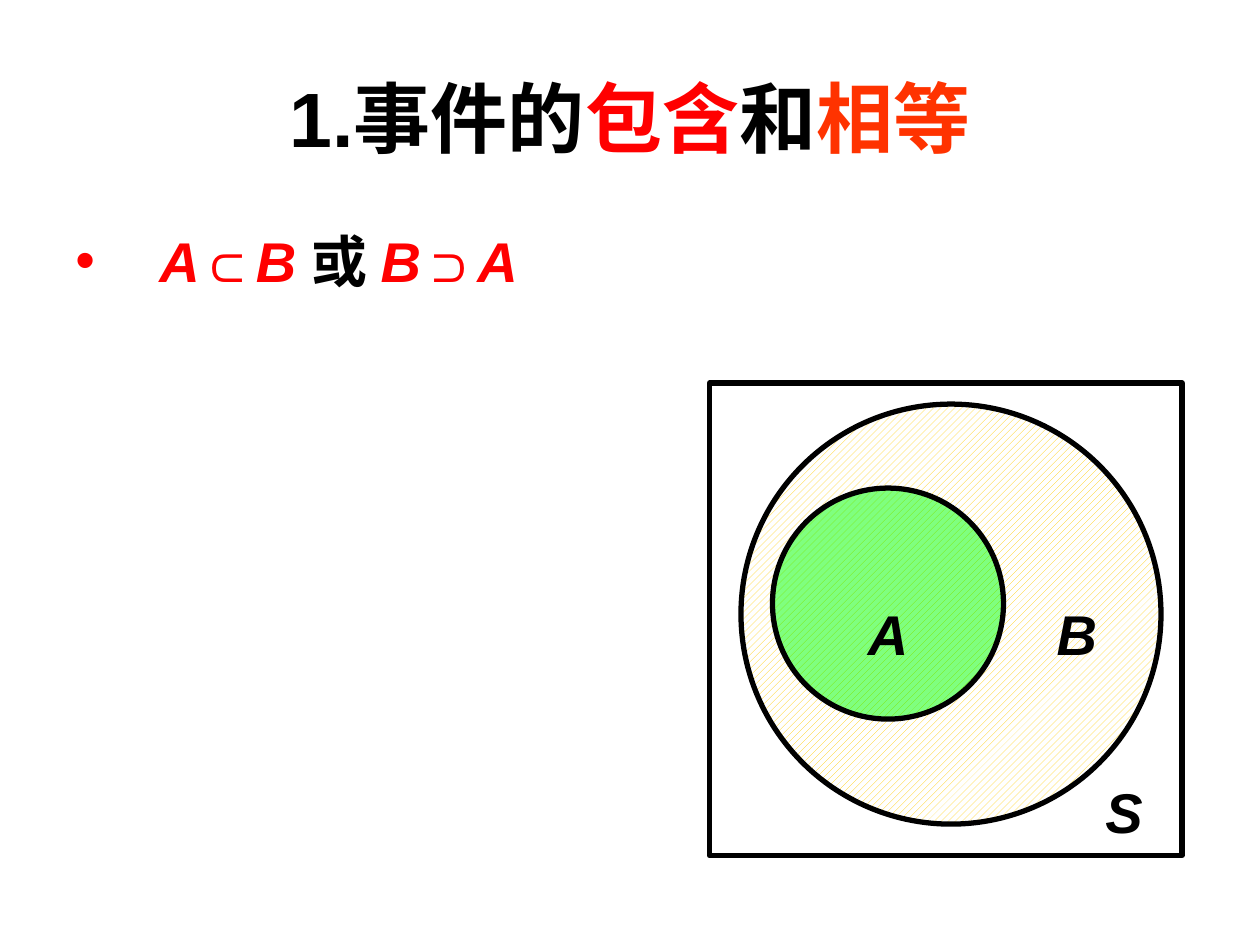
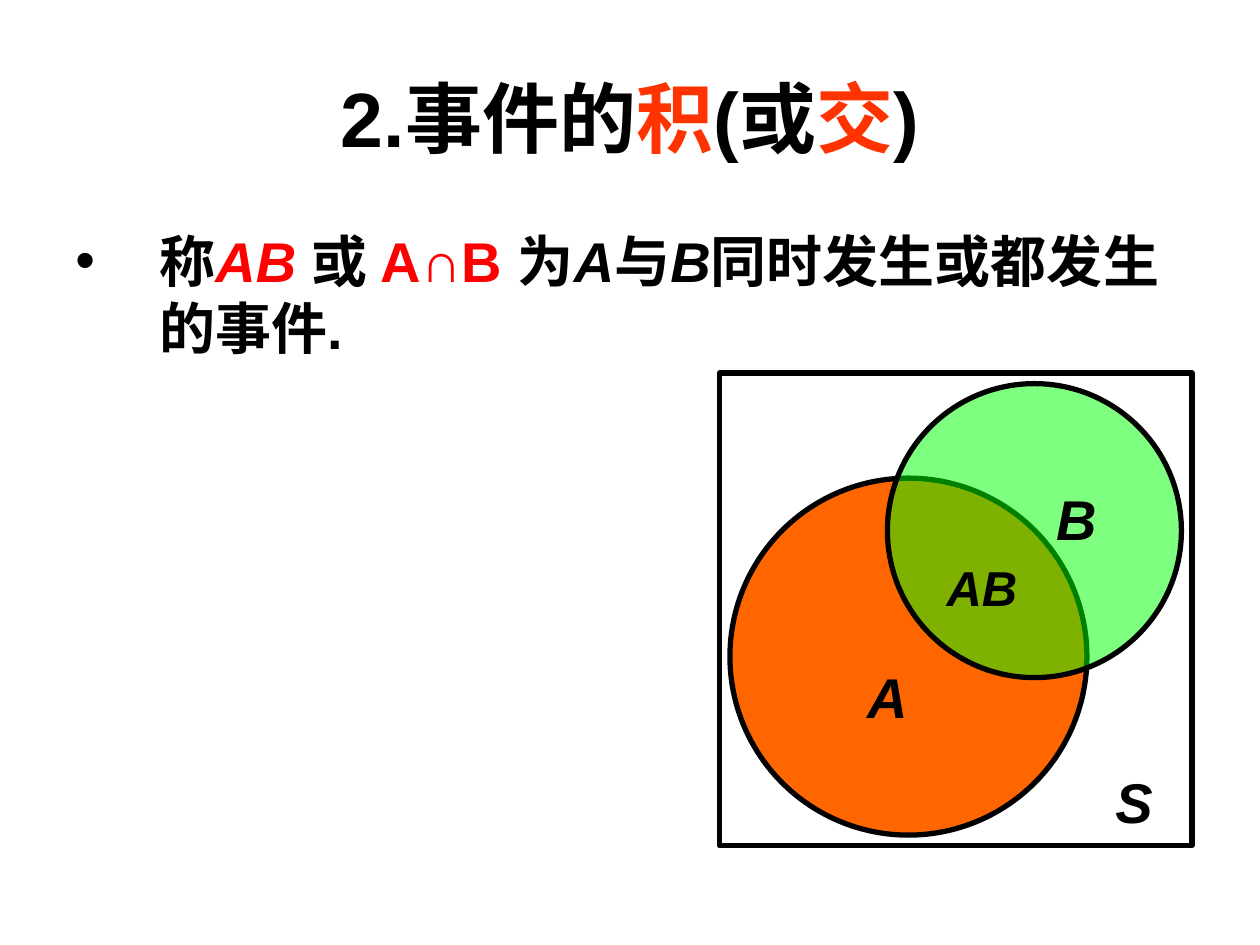
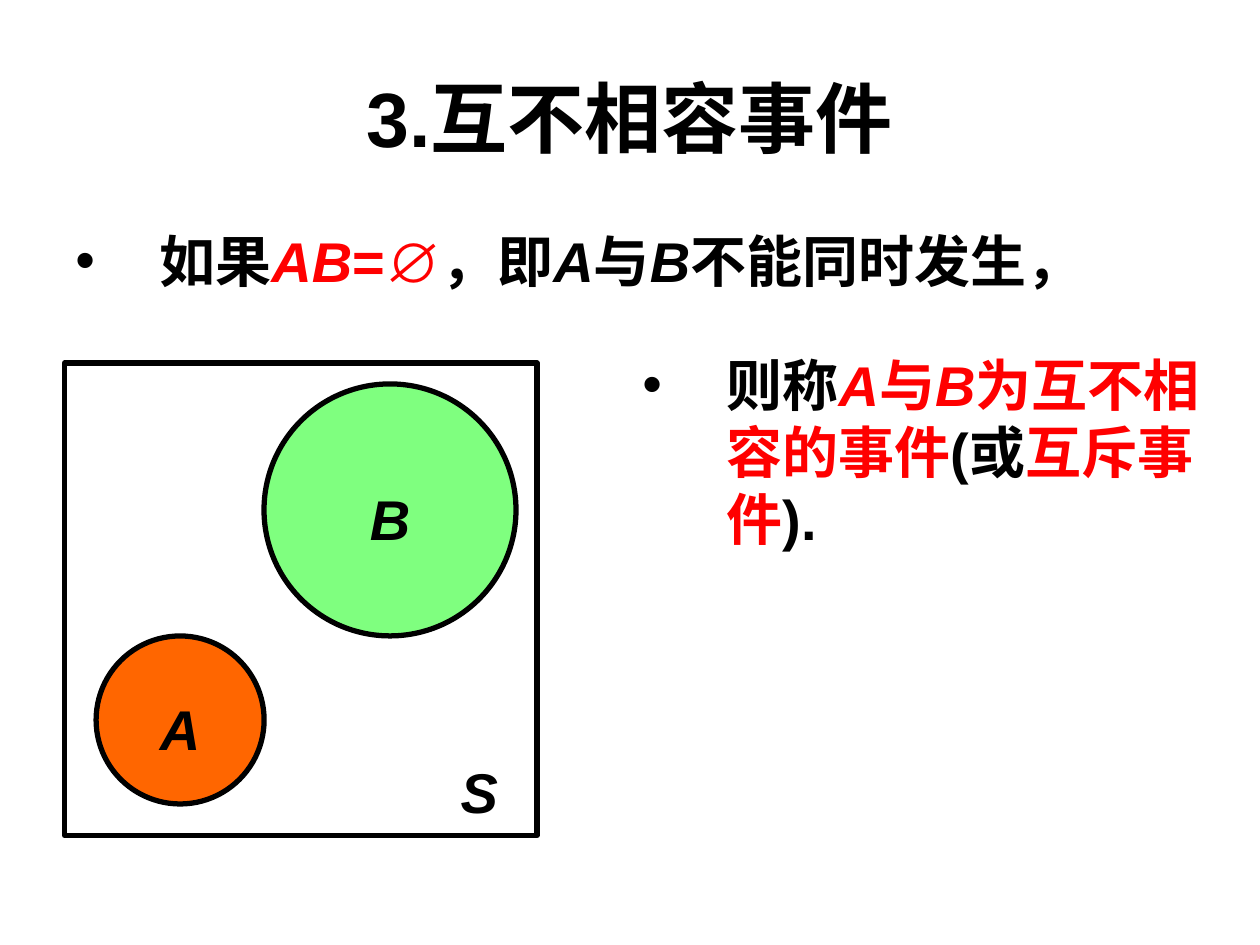
from dataclasses import dataclass
from typing import Optional

from lxml import etree
from pptx import Presentation
from pptx.dml.color import RGBColor
from pptx.enum import dml, shapes, text
from pptx.oxml.ns import qn
from pptx.util import Pt

BLACK = RGBColor(0, 0, 0)
WHITE = RGBColor(255, 255, 255)
RED = RGBColor(255, 0, 0)
VERMILION = RGBColor(255, 51, 0)
ORANGE = RGBColor(255, 102, 0)
GREEN = RGBColor(0, 255, 0)
GOLD = RGBColor(255, 204, 0)

FONT = "Arial"
TITLE_SIZE, BODY_SIZE = 44, 32
TITLE_INDENT, BODY_INDENT = 66, 48
FRAME_SIDE = 270
OUTLINE = 3


@dataclass(frozen=True)
class Span:
    words: str
    color: RGBColor = BLACK
    italic: bool = False


@dataclass(frozen=True)
class Box:
    left: float
    top: float
    width: float
    height: float

    def lengths(self) -> tuple:
        return Pt(self.left), Pt(self.top), Pt(self.width), Pt(self.height)


@dataclass(frozen=True)
class Event:
    left: float
    top: float
    diameter: float
    color: RGBColor
    opacity: Optional[int] = None
    hatched: bool = False


@dataclass(frozen=True)
class Label:
    name: str
    left: float
    top: float
    width: float = 60
    size: float = BODY_SIZE


@dataclass(frozen=True)
class Venn:
    left: float
    top: float
    events: list[Event]
    labels: list[Label]


@dataclass(frozen=True)
class Statement:
    box: Box
    spans: list[Span]


@dataclass(frozen=True)
class Topic:
    title: list[Span]
    statements: list[Statement]
    venn: Venn


TITLE_BOX = Box(36, 21.6, 648, 90)
BODY_BOX = Box(36, 126, 648, 356.4)
SPACE_LABEL = Label("S", 216, 222, 42)


def write(paragraph, spans: list[Span], size: float) -> None:
    for span in spans:
        run = paragraph.add_run()
        run.text = span.words
        run.font.name = FONT
        run.font.size = Pt(size)
        run.font.bold = True
        run.font.italic = span.italic
        run.font.color.rgb = span.color


def set_indent(paragraph, indent: float) -> None:
    properties = paragraph._p.get_or_add_pPr()
    properties.set("marL", str(Pt(indent)))
    properties.set("indent", str(-Pt(indent)))


def set_space_before(paragraph, percent: int) -> None:
    space = etree.SubElement(paragraph._p.get_or_add_pPr(), qn("a:spcBef"))
    etree.SubElement(space, qn("a:spcPct")).set("val", str(percent * 1000))


def add_bullet(paragraph) -> None:
    properties = paragraph._p.get_or_add_pPr()
    etree.SubElement(properties, qn("a:buFont")).set("typeface", FONT)
    etree.SubElement(properties, qn("a:buChar")).set("char", "•")


def add_frame(parent, box: Box):
    frame = parent.add_textbox(*box.lengths()).text_frame
    frame.word_wrap = True
    return frame


def draw_title(slide, spans: list[Span]) -> None:
    frame = add_frame(slide.shapes, TITLE_BOX)
    frame.vertical_anchor = text.MSO_ANCHOR.MIDDLE
    heading = frame.paragraphs[0]
    heading.alignment = text.PP_ALIGN.CENTER
    set_indent(heading, TITLE_INDENT)
    write(heading, spans, TITLE_SIZE)


def draw_statement(slide, statement: Statement) -> None:
    sentence = add_frame(slide.shapes, statement.box).paragraphs[0]
    set_indent(sentence, BODY_INDENT)
    set_space_before(sentence, 20)
    add_bullet(sentence)
    write(sentence, statement.spans, BODY_SIZE)


def add_outline(parent, kind, box: Box):
    outline = parent.add_shape(kind, *box.lengths())
    outline.shadow.inherit = False
    outline.line.color.rgb = BLACK
    outline.line.width = Pt(OUTLINE)
    return outline


def draw_event(parent, event: Event, venn: Venn) -> None:
    box = Box(venn.left + event.left, venn.top + event.top, event.diameter, event.diameter)
    circle = add_outline(parent, shapes.MSO_SHAPE.OVAL, box)
    if event.hatched:
        circle.fill.patterned()
        circle.fill.pattern = dml.MSO_PATTERN.WIDE_UPWARD_DIAGONAL
        circle.fill.fore_color.rgb = event.color
        circle.fill.back_color.rgb = WHITE
        return
    circle.fill.solid()
    circle.fill.fore_color.rgb = event.color
    if event.opacity is not None:
        color = circle._element.spPr.find(qn("a:solidFill"))[0]
        etree.SubElement(color, qn("a:alpha")).set("val", str(event.opacity * 1000))


def draw_label(parent, label: Label, venn: Venn) -> None:
    height = label.size * 1.2 + 7.2
    box = Box(venn.left + label.left, venn.top + label.top, label.width, height)
    frame = add_frame(parent, box)
    frame.auto_size = text.MSO_AUTO_SIZE.SHAPE_TO_FIT_TEXT
    name = frame.paragraphs[0]
    name.alignment = text.PP_ALIGN.CENTER
    set_space_before(name, 50)
    write(name, [Span(label.name, italic=True)], label.size)


def draw_venn(slide, venn: Venn) -> None:
    diagram = slide.shapes.add_group_shape().shapes
    box = Box(venn.left, venn.top, FRAME_SIDE, FRAME_SIDE)
    sample_space = add_outline(diagram, shapes.MSO_SHAPE.RECTANGLE, box)
    sample_space.fill.solid()
    sample_space.fill.fore_color.rgb = WHITE
    for event in venn.events:
        draw_event(diagram, event, venn)
    for label in [SPACE_LABEL, *venn.labels]:
        draw_label(diagram, label, venn)


RED_A, RED_B, RED_AB = (Span(name, RED, True) for name in ("A", "B", "AB"))
BLACK_A, BLACK_B = (Span(name, italic=True) for name in ("A", "B"))

TOPICS = [
    Topic(
        [Span("1.事件的"), Span("包含", RED), Span("和"), Span("相等", VERMILION)],
        [Statement(BODY_BOX, [
            RED_A, Span("⊂", RED), Span("B ", RED, True), Span("或 "),
            RED_B, Span("⊃", RED), RED_A,
        ])],
        Venn(
            405.4, 218.9,
            [Event(18, 12, 240, GOLD, hatched=True), Event(36, 60, 132, GREEN, 50)],
            [Label("B", 186, 120, 48), Label("A", 72, 120)],
        ),
    ),
    Topic(
        [Span("2.事件的"), Span("积", VERMILION), Span("(或"), Span("交", VERMILION), Span(")")],
        [Statement(BODY_BOX, [
            Span("称"), RED_AB, Span(" 或 "), Span("A∩B ", RED), Span("为"),
            BLACK_A, Span("与"), BLACK_B, Span("同时发生或都发生的事件."),
        ])],
        Venn(
            411.1, 213.2,
            [Event(6, 60, 204, ORANGE), Event(96, 6, 168, GREEN, 50)],
            [Label("A", 66, 162), Label("B", 180, 60, 48), Label("AB", 120, 102, size=28)],
        ),
    ),
    Topic(
        [Span("3.互不相容事件")],
        [
            Statement(BODY_BOX, [
                Span("如果"), RED_AB, Span("=∅", RED), Span(",即".replace(",", "，")),
                BLACK_A, Span("与"), BLACK_B, Span("不能同时发生，"),
            ]),
            Statement(Box(360, 196.6, 336, 265.7), [
                Span("则称"), RED_A, Span("与", RED), RED_B, Span("为互不相容的事件", RED),
                Span("(或"), Span("互斥事件", RED), Span(")."),
            ]),
        ],
        Venn(
            36.9, 207.4,
            [Event(18, 156, 96, ORANGE), Event(114, 12, 144, GREEN, 50)],
            [Label("A", 36, 186), Label("B", 162, 66, 48)],
        ),
    ),
]


def main() -> None:
    deck = Presentation()
    deck.slide_width, deck.slide_height = Pt(720), Pt(540)
    for topic in TOPICS:
        slide = deck.slides.add_slide(deck.slide_layouts[6])
        draw_title(slide, topic.title)
        for statement in topic.statements:
            draw_statement(slide, statement)
        draw_venn(slide, topic.venn)
    deck.save("out.pptx")


main()
